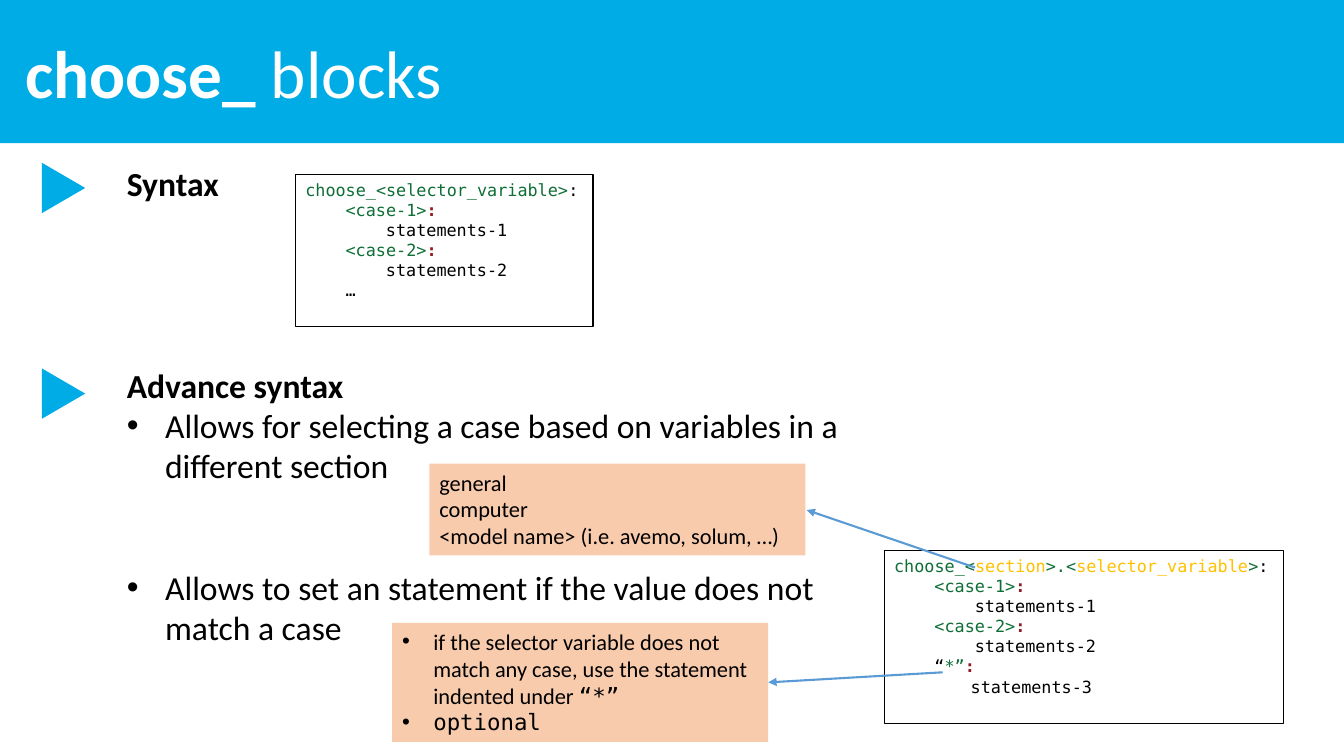
from pptx import Presentation
from pptx.dml.color import RGBColor
from pptx.enum.shapes import MSO_CONNECTOR, MSO_SHAPE
from pptx.enum.text import MSO_ANCHOR, PP_ALIGN
from pptx.oxml.ns import qn
from pptx.util import Inches, Pt
from lxml.etree import SubElement

BLUE = RGBColor(0x00, 0xAC, 0xE6)
WHITE = RGBColor(0xFF, 0xFF, 0xFF)
BLACK = RGBColor(0x00, 0x00, 0x00)
GREEN = RGBColor(0x0E, 0x6E, 0x35)
RED = RGBColor(0x92, 0x1A, 0x20)
GOLD = RGBColor(0xFF, 0xC0, 0x00)
PEACH = RGBColor(0xF8, 0xCB, 0xAD)
ARROW_BLUE = RGBColor(0x5B, 0x9B, 0xD5)
SANS = "Calibri"
MONO = "DejaVu Sans Mono"
CODE_STEP = 0.4


def add_panel(page, box, kind=MSO_SHAPE.RECTANGLE, fill=None, line=None):
    panel = page.shapes.add_shape(kind, *map(Inches, box))
    panel.shadow.inherit = False
    if fill is None:
        panel.fill.background()
    else:
        panel.fill.solid()
        panel.fill.fore_color.rgb = fill
    if line is None:
        panel.line.fill.background()
    else:
        panel.line.color.rgb = line
        panel.line.width = Pt(1)
    return panel


def start_text(shape, anchor=MSO_ANCHOR.TOP, wrap=True):
    frame = shape.text_frame
    frame.word_wrap = wrap
    frame.vertical_anchor = anchor
    return frame


def add_para(frame, first):
    para = frame.paragraphs[0] if first else frame.add_paragraph()
    para.alignment = PP_ALIGN.LEFT
    return para


def add_span(para, text, size, font=SANS, color=BLACK, bold=False):
    span = para.add_run()
    span.text = text
    span.font.size = Pt(size)
    span.font.name = font
    span.font.color.rgb = color
    span.font.bold = bold


def set_indent(para, left, bullet=False):
    properties = para._p.get_or_add_pPr()
    properties.set("marL", str(Inches(left)))
    properties.set("indent", str(-Inches(left) if bullet else 0))
    if bullet:
        SubElement(properties, qn("a:buFont")).set("typeface", "Arial")
        SubElement(properties, qn("a:buChar")).set("char", "•")


def add_title(page, box):
    banner = add_panel(page, box, fill=BLUE)
    frame = start_text(banner, MSO_ANCHOR.MIDDLE)
    frame.margin_left = Inches(0.25)
    para = add_para(frame, True)
    add_span(para, "choose_", 48, color=WHITE, bold=True)
    add_span(para, " blocks", 48, color=WHITE)


def add_body(page, box):
    left, top, width, height = box
    for offset in (0.08, 2.12):
        marker = add_panel(page, (left - 0.78, top + offset, 0.5, 0.43),
                           MSO_SHAPE.ISOSCELES_TRIANGLE, BLUE)
        marker.rotation = 90
    frame = start_text(page.shapes.add_textbox(*map(Inches, box)))
    lines = [
        ("Syntax", True, 0),
        ("Advance syntax", True, 115),
        ("Allows for selecting a case based on variables in a different section", False, 0),
        ("Allows to set an statement if the value does not match a case", False, 58),
    ]
    for index, (text, heading, gap) in enumerate(lines):
        para = add_para(frame, index == 0)
        para.space_before = Pt(gap)
        if not heading:
            set_indent(para, 0.38, bullet=True)
        add_span(para, text, 24, bold=heading)


def add_code(page, box, lines):
    frame = start_text(add_panel(page, box, line=BLACK), wrap=False)
    for index, (depth, spans) in enumerate(lines):
        para = add_para(frame, index == 0)
        set_indent(para, depth * CODE_STEP)
        for text, color in spans:
            add_span(para, text, 12, MONO, color, bold=color == RED)


def add_note(page, box, lines, bulleted=False):
    frame = start_text(add_panel(page, box, fill=PEACH))
    for index, spans in enumerate(lines):
        para = add_para(frame, index == 0)
        if bulleted:
            set_indent(para, 0.31, bullet=True)
        for text, font in spans:
            add_span(para, text, 16, font)


def add_arrow(page, start, end):
    arrow = page.shapes.add_connector(MSO_CONNECTOR.STRAIGHT, *map(Inches, start + end))
    arrow.line.color.rgb = ARROW_BLUE
    arrow.line.width = Pt(1.5)
    SubElement(arrow.line._get_or_add_ln(), qn("a:tailEnd")).set("type", "triangle")
    SubElement(arrow._element.spPr, qn("a:effectLst"))


def case_lines(number):
    return [
        (1, [(f"<case-{number}>", GREEN), (":", RED)]),
        (2, [(f"statements-{number}", BLACK)]),
    ]


def main():
    deck = Presentation()
    deck.slide_width = Inches(13.33)
    deck.slide_height = Inches(7.5)
    page = deck.slides.add_slide(deck.slide_layouts[6])
    cases = case_lines(1) + case_lines(2)

    add_title(page, (0, 0, 13.33, 1.42))
    add_body(page, (1.16, 1.57, 7.44, 5.35))
    add_code(page, (2.93, 1.73, 2.95, 1.51), [
        (0, [("choose_<selector_variable>", GREEN), (":", BLACK)]),
        *cases,
        (1, [("…", BLACK)]),
    ])
    add_code(page, (8.77, 5.46, 3.96, 1.72), [
        (0, [("choose_<", GREEN), ("section", GOLD), (">.<", GREEN),
             ("selector_variable", GOLD), (">", GREEN), (":", BLACK)]),
        *cases,
        (1, [("“", BLACK), ("*”", GREEN), (":", RED)]),
        (1.9, [("statements-3", BLACK)]),
    ])
    add_note(page, (4.26, 4.6, 3.73, 0.91), [
        [("general", SANS)],
        [("computer", SANS)],
        [("<model name> (i.e. avemo, solum, …)", SANS)],
    ])
    add_arrow(page, (9.67, 5.63), (8, 5.06))
    add_note(page, (3.89, 6.18, 3.73, 1.18), [
        [("if the selector variable does not match any case, "
          "use the statement indented under ", SANS), ("“*”", MONO)],
        [("optional", MONO)],
    ], bulleted=True)
    add_arrow(page, (9.35, 6.67), (7.62, 6.77))
    deck.save("out.pptx")


if __name__ == "__main__":
    main()
